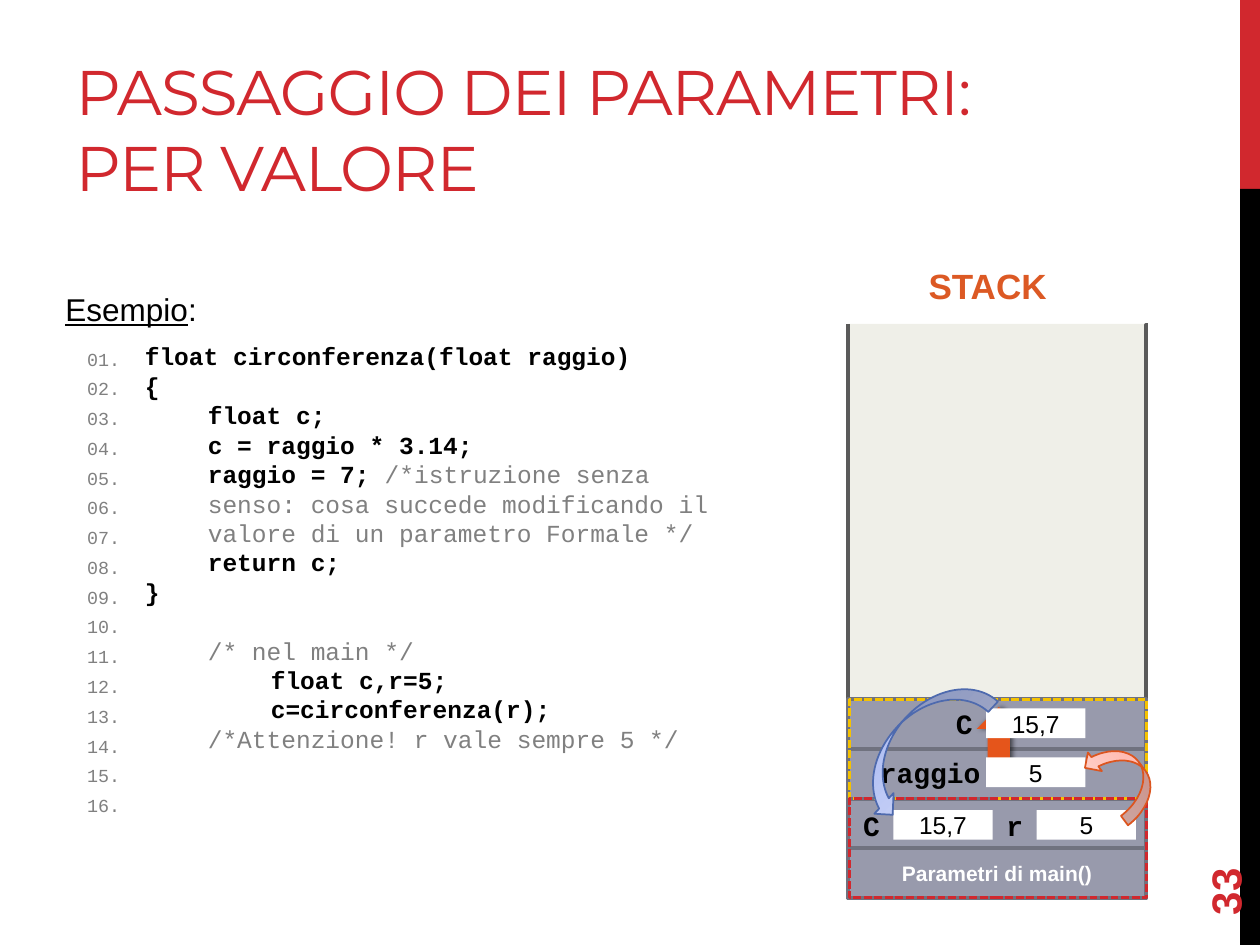
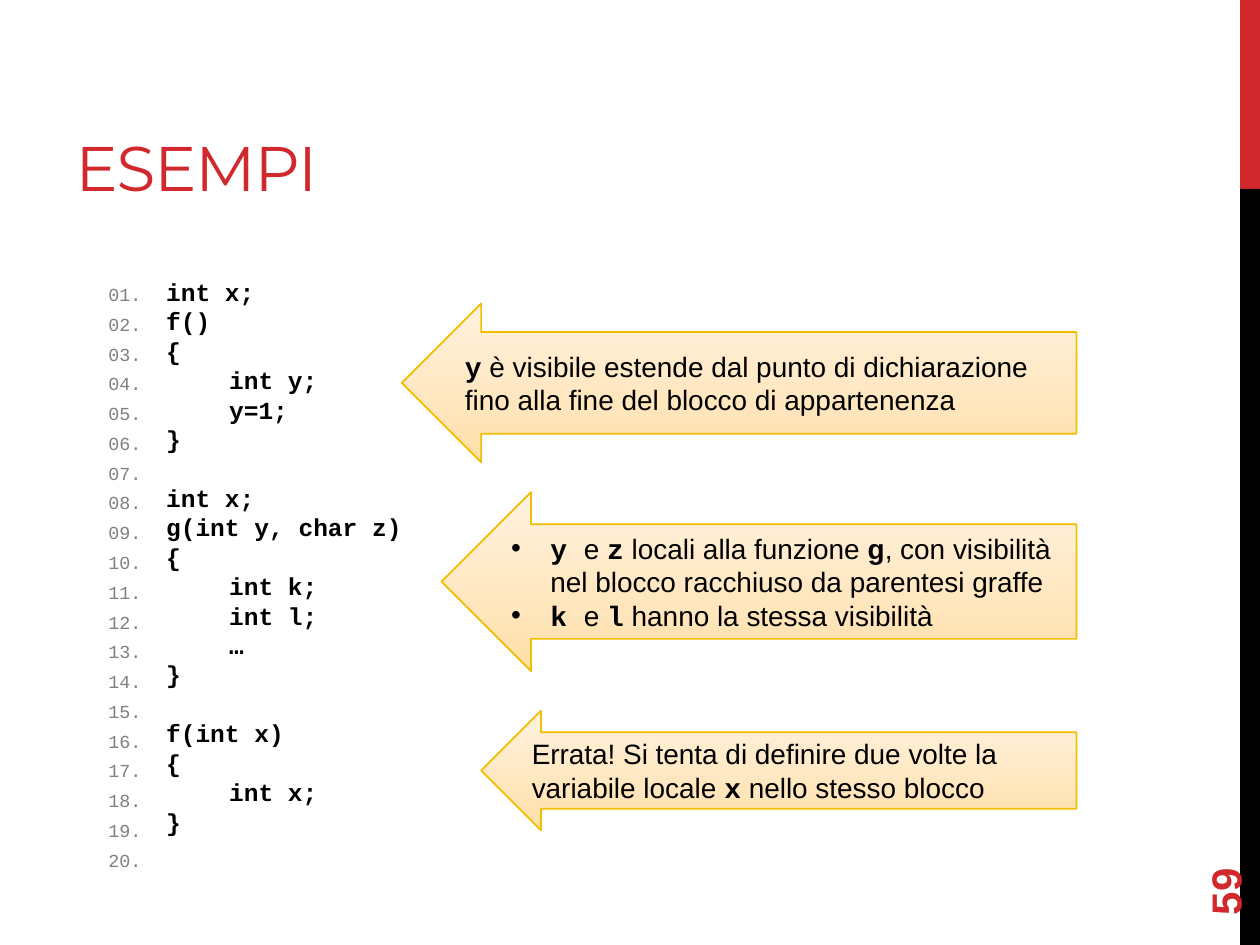
from dataclasses import dataclass
from typing import NamedTuple

from lxml.etree import SubElement
from pptx import Presentation
from pptx.dml.color import RGBColor
from pptx.enum.dml import MSO_LINE
from pptx.enum.shapes import MSO_SHAPE
from pptx.enum.text import MSO_ANCHOR, MSO_AUTO_SIZE, PP_ALIGN
from pptx.oxml.ns import qn
from pptx.shapes.autoshape import Shape
from pptx.slide import Slide, SlideLayout
from pptx.text.text import TextFrame
from pptx.util import Cm, Pt


class Ink(NamedTuple):
    size: float
    color: str = "000000"
    bold: bool = False
    font: str = "Arial"
    under: bool = False


@dataclass(frozen=True)
class Theme:
    red: str = "D1282E"
    black: str = "000000"
    white: str = "FFFFFF"
    stack: str = "C8C8B1"
    wall: str = "5A5A5A"
    cell: str = "989AAC"
    edge: str = "70727F"
    gold: str = "F5C201"
    push: str = "E5551B"
    amber: tuple = ("FFDFA5", "FFE6BD", "FFF2DF")
    rose: tuple = ("FFA698", "FFBCB3", "FFDED9")
    blue: tuple = ("9AACED", "B2C0F3", "D8DFF9")
    amber_edge: str = "F1BE00"
    rose_edge: str = "DC551F"
    blue_edge: str = "4E6AAE"
    title: Ink = Ink(36, "D1282E", font="Montserrat")
    page: Ink = Ink(24, "D1282E", True)
    code: Ink = Ink(14, bold=True, font="Courier New")
    quiet: Ink = Ink(14, "808080", font="Courier New")
    count: Ink = Ink(10.5, "808080", font="Courier New")
    lead: Ink = Ink(18, under=True)
    colon: Ink = Ink(18)
    head: Ink = Ink(20, "DC5924", True)
    main: Ink = Ink(12, "FFFFFF", True)
    name: Ink = Ink(16, bold=True, font="Courier New")
    value: Ink = Ink(14)
    note: Ink = Ink(16)
    strong: Ink = Ink(16, bold=True)
    code_step: float = 16.8
    count_step: float = 17
    note_step: float = 19.15


T = Theme()


class Run(NamedTuple):
    text: str
    ink: Ink


class Para(NamedTuple):
    runs: list[Run]
    level: int = 0
    gap: float = 0
    dot: bool = False


class Box(NamedTuple):
    left: float
    top: float
    width: float
    height: float


class Slot(NamedTuple):
    name: str
    value: str
    left: float
    top: float
    wide: float = 0.71


class Bend(NamedTuple):
    box: Box
    turn: float
    shades: tuple
    edge: str


class Note(NamedTuple):
    left: float
    top: float
    height: float
    paras: list[Para]


def code(text: str, level: int = 0, gap: float = 0) -> Para:
    return Para([Run(text, T.code)], level, gap)


def quiet(text: str, level: int, gap: float = 0) -> Para:
    return Para([Run(text, T.quiet)], level, gap)


def plain(text: str, ink: Ink) -> list[Para]:
    return [Para([Run(text, ink)])]


def write(frame: TextFrame, paras: list[Para], align: PP_ALIGN = PP_ALIGN.LEFT, step: float = 0) -> None:
    frame.word_wrap = True
    for i, para in enumerate(paras):
        line = frame.paragraphs[0] if i == 0 else frame.add_paragraph()
        line.alignment, line.level = align, para.level
        if step:
            line.line_spacing = Pt(step)
        if para.gap:
            line.space_before = Pt(para.gap)
        props = line._p.get_or_add_pPr()
        if para.level:
            props.set("marL", str(Cm(1.27 * para.level)))
            props.set("indent", "0")
        if para.dot:
            props.set("marL", str(Cm(0.79)))
            props.set("indent", str(-Cm(0.79)))
            SubElement(props, qn("a:buFont"), typeface="Arial")
            SubElement(props, qn("a:buChar"), char="•")
        for text, ink in para.runs:
            run = line.add_run()
            run.text = text
            font = run.font
            font.name, font.size, font.bold = ink.font, Pt(ink.size), ink.bold
            font.underline = ink.under
            font.color.rgb = RGBColor.from_string(ink.color)


def shade(shape: Shape, tones: tuple) -> None:
    shape.fill.gradient()
    shape.fill.gradient_angle = 90
    stops = shape.element.spPr.find(f"{qn('a:gradFill')}/{qn('a:gsLst')}")
    for stop in list(stops):
        stops.remove(stop)
    for place, tone in zip((0, 35000, 100000), tones):
        stop = SubElement(stops, qn("a:gs"), pos=str(place))
        SubElement(stop, qn("a:srgbClr"), val=tone)


def draw(slide: Slide, kind: MSO_SHAPE, box: Box, fill: str | tuple | None = None,
         edge: str | None = None, width: float = 1) -> Shape:
    shape = slide.shapes.add_shape(kind, *map(Cm, box))
    shape.shadow.inherit = False
    if fill is None:
        shape.fill.background()
    elif isinstance(fill, tuple):
        shade(shape, fill)
    else:
        shape.fill.solid()
        shape.fill.fore_color.rgb = RGBColor.from_string(fill)
    if edge:
        shape.line.color.rgb = RGBColor.from_string(edge)
        shape.line.width = Pt(width)
    else:
        shape.line.fill.background()
    shape.text_frame.vertical_anchor = MSO_ANCHOR.MIDDLE
    return shape


def label(slide: Slide, box: Box, paras: list[Para], align: PP_ALIGN = PP_ALIGN.LEFT, step: float = 0) -> Shape:
    shape = slide.shapes.add_textbox(*map(Cm, box))
    write(shape.text_frame, paras, align, step)
    return shape


def band(slide: Slide, layout: SlideLayout) -> None:
    for top, height, fill in ((0, 3.81, T.red), (3.81, 15.24, T.black)):
        bar = draw(slide, MSO_SHAPE.RECTANGLE, Box(25, top, 0.4, height), fill)
        layout.shapes.element.append(bar.element)


def start(slide: Slide, title: str, page: str) -> None:
    head = slide.shapes.title
    head.left, head.top, head.width, head.height = map(Cm, (1.27, 0.43, 20.22, 3.81))
    head.text_frame.auto_size = MSO_AUTO_SIZE.NONE
    head.text_frame.vertical_anchor = MSO_ANCHOR.BOTTOM
    write(head.text_frame, plain(title, T.title))
    for run in head.text_frame.paragraphs[0].runs:
        run.font._element.set("spc", "-60")
    mark = label(slide, Box(22.86, 16.36, 3.66, 1.02), plain(page, T.page))
    mark.rotation = 270
    mark.text_frame.vertical_anchor = MSO_ANCHOR.MIDDLE


def listing(slide: Slide, box: Box, gutter: float, count: int, paras: list[Para]) -> None:
    label(slide, box, paras, step=T.code_step)
    rows = [Para([Run(f"{n:02}.", T.count)]) for n in range(1, count + 1)]
    side = Box(box.left - gutter, box.top - 0.03, gutter, count * 0.6 + 0.25)
    label(slide, side, rows, PP_ALIGN.RIGHT, T.count_step)


def cast(shape: Shape) -> None:
    list_el = shape.element.spPr.find(qn("a:effectLst"))
    drop = SubElement(list_el, qn("a:outerShdw"), blurRad=str(Pt(3)), dist=str(Pt(1.5)), dir="0")
    tone = SubElement(drop, qn("a:srgbClr"), val=T.black)
    SubElement(tone, qn("a:alpha"), val="60000")


def stack(slide: Slide) -> None:
    left, top, width, row, first = 17.1, 6.53, 6, 1, 14.1
    base = first + 4 * row
    label(slide, Box(18.47, 5.2, 5.4, 1.12), plain("STACK", T.head))
    back = draw(slide, MSO_SHAPE.RECTANGLE, Box(left, top, width, base - top), T.stack)
    tone = back.element.spPr.find(f"{qn('a:solidFill')}/{qn('a:srgbClr')}")
    SubElement(tone, qn("a:alpha"), val="29000")

    right = left + width
    path = slide.shapes.build_freeform(Cm(left), Cm(top))
    points = ((left, base), (right, base), (right, top + 0.03), (right + 0.05, top + 0.03))
    path.add_line_segments([(Cm(x), Cm(y)) for x, y in points], close=False)
    wall = path.convert_to_shape()
    wall.shadow.inherit = False
    wall.fill.background()
    wall.line.color.rgb = RGBColor.from_string(T.wall)
    wall.line.width = Pt(2.25)

    for i in range(4):
        cell = draw(slide, MSO_SHAPE.RECTANGLE, Box(left, first + i * row, width, row), T.cell, T.edge, 2.25)
    write(cell.text_frame, plain("Parametri di main()", T.main), PP_ALIGN.CENTER)
    for i, edge in enumerate((T.gold, T.red)):
        zone = draw(slide, MSO_SHAPE.RECTANGLE, Box(left + 0.02, first + 2 * i * row, width, 2 * row), None, edge, 1.5)
        zone.line.dash_style = MSO_LINE.SQUARE_DOT

    cast(draw(slide, MSO_SHAPE.UP_ARROW, Box(19.69, 14.25, 0.89, 1.5), T.push))
    for slot in (Slot("C", "15,7", 19.88, 14.28), Slot("raggio", "5", 19.88, 15.27, 2.24),
                 Slot("C", "15,7", 18.01, 16.33), Slot("r", "5", 20.9, 16.33)):
        name = label(slide, Box(slot.left - slot.wide, slot.top - 0.04, slot.wide, 0.69), plain(slot.name, T.name))
        frame = name.text_frame
        frame.word_wrap = False
        frame.margin_left = frame.margin_right = Cm(0.1)
        frame.margin_top = frame.margin_bottom = 0
        cell = draw(slide, MSO_SHAPE.RECTANGLE, Box(slot.left, slot.top, 2, 0.6), T.white)
        cell.text_frame.margin_top = cell.text_frame.margin_bottom = 0
        write(cell.text_frame, plain(slot.value, T.value), PP_ALIGN.CENTER)
    for bend in (Bend(Box(21.77, 15.21, 1.68, 0.94), 233.1, T.rose, T.rose_edge),
                 Bend(Box(16.84, 14.43, 3.4, 1.14), 132.9, T.blue, T.blue_edge)):
        draw(slide, MSO_SHAPE.CURVED_UP_ARROW, bend.box, bend.shades, bend.edge).rotation = bend.turn


def values(slide: Slide) -> None:
    start(slide, "PASSAGGIO DEI PARAMETRI: PER VALORE", "33")
    label(slide, Box(1.07, 5.72, 10.64, 1.02), [Para([Run("Esempio", T.lead), Run(":", T.colon)])])
    remark = "/*istruzione senza senso: cosa succede modificando il valore di un parametro Formale */"
    listing(slide, Box(2.67, 6.76, 12.24, 8.64), 1.6, 16, [
        code("float circonferenza(float raggio)"), code("{"),
        code("float c;", 1), code("c = raggio * 3.14;", 1),
        Para([Run("raggio = 7; ", T.code), Run(remark, T.quiet)], 1),
        code("return c;", 1), code("}"),
        quiet("/* nel main */", 1, T.code_step),
        code("float c,r=5;", 2), code("c=circonferenza(r);", 2),
        quiet("/*Attenzione! r vale sempre 5 */", 1),
    ])
    stack(slide)


def scopes(slide: Slide) -> None:
    start(slide, "ESEMPI", "59")
    listing(slide, Box(3.1, 5.46, 17.42, 11.63), 2, 20, [
        code("int x;"), code("f()"), code("{"), code("int y;", 1), code("y=1;", 1), code("}"),
        code("int x;", 0, T.code_step), code("g(int y, char z)"), code("{"),
        code("int k;", 1), code("int l;", 1), code("…", 1), code("}"),
        code("f(int x)", 0, T.code_step), code("{"), code("int x;", 1), code("}"),
    ])
    name, note = T.name, T.note
    for item in (
        Note(8.1, 6.12, 3.2, [Para([
            Run("y", name),
            Run(" è visibile estende dal punto di dichiarazione fino alla fine del blocco di appartenenza", note)])]),
        Note(8.9, 9.92, 3.61, [
            Para([Run("y ", name), Run("e ", note), Run("z", name), Run(" locali alla funzione ", note),
                  Run("g", T.strong),
                  Run(", con visibilità nel blocco racchiuso da parentesi graffe", note)], dot=True),
            Para([Run("k ", name), Run("e ", note), Run("l", name),
                  Run(" hanno la stessa visibilità", note)], dot=True)]),
        Note(9.7, 14.33, 2.41, [Para([
            Run("Errata! Si tenta di definire due volte la variabile locale ", note),
            Run("x", name), Run(" nello stesso blocco", note)])]),
    ):
        box = Box(item.left, item.top, 21.7 - item.left, item.height)
        arrow = draw(slide, MSO_SHAPE.LEFT_ARROW, box, T.amber, T.amber_edge)
        arrow.adjustments[0], arrow.adjustments[1] = 0.64, 0.5
        write(arrow.text_frame, item.paras, step=T.note_step)


def main() -> None:
    deck = Presentation()
    deck.slide_width, deck.slide_height = Cm(25.4), Cm(19.05)
    layout = deck.slide_layouts[5]
    first, second = (deck.slides.add_slide(layout) for _ in range(2))
    band(first, layout)
    values(first)
    scopes(second)
    deck.save("out.pptx")


if __name__ == "__main__":
    main()
